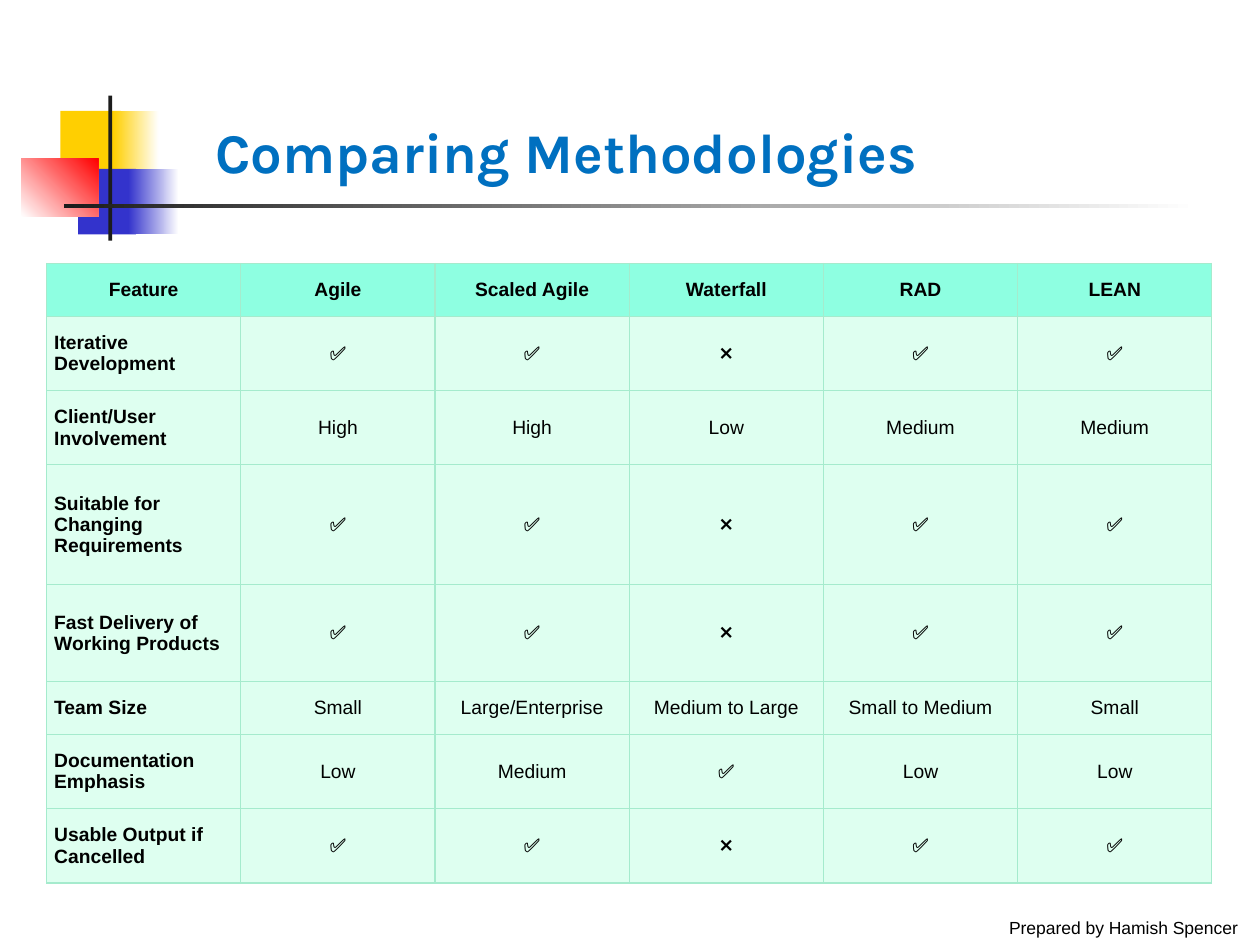
from lxml import etree
from pptx import Presentation
from pptx import util as u
from pptx.dml.color import RGBColor
from pptx.enum import shapes, text
from pptx.oxml import ns

BLACK, WHITE = "000000", "FFFFFF"
YELLOW, BLUE, RED, DARK = "FFCF01", "3333CC", "FF0000", "1C1C1C"

BLOCKS = [
    (0.48, 0.88, 0.48, 0.52, [YELLOW], 0),
    (0.9, 0.88, 0.36, 0.52, [YELLOW, WHITE], 0),
    (0.62, 1.34, 0.46, 0.52, [BLUE], 0),
    (1.02, 1.34, 0.4, 0.52, [BLUE, WHITE], 0),
    (0.17, 1.26, 0.61, 0.46, [WHITE, RED], 45),
    (0.86, 0.76, 0.03, 1.15, [DARK], 0),
    (0.51, 1.62, 9, 0.03, [DARK, WHITE], 0),
]

ROWS = [
    (0.42, "Feature", "Agile", "Scaled Agile", "Waterfall", "RAD", "LEAN"),
    (0.59, "Iterative Development", "✅", "✅", "❌", "✅", "✅"),
    (0.59, "Client/User Involvement", "High", "High", "Low", "Medium", "Medium"),
    (0.95, "Suitable for Changing Requirements", "✅", "✅", "❌", "✅", "✅"),
    (0.77, "Fast Delivery of Working Products", "✅", "✅", "❌", "✅", "✅"),
    (0.42, "Team Size", "Small", "Large/Enterprise", "Medium to Large",
     "Small to Medium", "Small"),
    (0.59, "Documentation Emphasis", "Low", "Medium", "✅", "Low", "Low"),
    (0.59, "Usable Output if Cancelled", "✅", "✅", "❌", "✅", "✅"),
]


def rgb(value):
    return RGBColor.from_string(value)


def write(tf, content, size=11, font="Arial", color=BLACK, bold=False,
          align=text.PP_ALIGN.LEFT):
    p = tf.paragraphs[0]
    p.alignment = align
    r = p.add_run()
    r.text = content
    r.font.size = u.Pt(size)
    r.font.name = font
    r.font.bold = bold
    r.font.color.rgb = rgb(color)


class Deck:
    heading_font, heading_color = "Karla", "0070C0"
    header_fill, body_fill, border = "8EFFE1", "DEFFF0", "A5EBCD"

    def __init__(self, prs):
        self.s = prs.slides.add_slide(prs.slide_layouts[5])

    def block(self, x, y, w, h, colors, angle):
        sp = self.s.shapes.add_shape(
            shapes.MSO_SHAPE.RECTANGLE, *map(u.Inches, (x, y, w, h)))
        sp.shadow.inherit = False
        sp.line.fill.background()
        if len(colors) == 1:
            sp.fill.solid()
            sp.fill.fore_color.rgb = rgb(colors[0])
        else:
            sp.fill.gradient()
            sp.fill.gradient_angle = angle
            for stop, color in zip(sp.fill.gradient_stops, colors):
                stop.color.rgb = rgb(color)

    def title(self, content, x, y, w, h):
        sp = self.s.shapes.title
        sp.left, sp.top, sp.width, sp.height = map(u.Inches, (x, y, w, h))
        tf = sp.text_frame
        tf.auto_size = text.MSO_AUTO_SIZE.NONE
        tf.vertical_anchor = text.MSO_ANCHOR.BOTTOM
        write(tf, content, size=32, font=self.heading_font,
              color=self.heading_color, bold=True)

    def label(self, content, x, y, w, h):
        tf = self.s.shapes.add_textbox(*map(u.Inches, (x, y, w, h))).text_frame
        tf.word_wrap = True
        tf.auto_size = text.MSO_AUTO_SIZE.SHAPE_TO_FIT_TEXT
        write(tf, content, size=10)

    def outline(self, cell):
        tcPr = cell._tc.get_or_add_tcPr()
        for side in "LRTB":
            ln = etree.SubElement(tcPr, ns.qn(f"a:ln{side}"), w=str(u.Pt(0.75)))
            fill = etree.SubElement(ln, ns.qn("a:solidFill"))
            etree.SubElement(fill, ns.qn("a:srgbClr"), val=self.border)

    def table(self, rows, x, y, w):
        height = sum(row[0] for row in rows)
        table = self.s.shapes.add_table(
            len(rows), len(rows[0]) - 1,
            *map(u.Inches, (x, y, w, height))).table
        for i, (row_height, *values) in enumerate(rows):
            table.rows[i].height = u.Inches(row_height)
            for j, value in enumerate(values):
                cell = table.cell(i, j)
                self.outline(cell)
                cell.fill.solid()
                cell.fill.fore_color.rgb = rgb(
                    self.body_fill if i else self.header_fill)
                cell.margin_left = cell.margin_right = u.Inches(0.06)
                cell.margin_top = cell.margin_bottom = u.Inches(0.03)
                cell.vertical_anchor = text.MSO_ANCHOR.MIDDLE
                left = i > 0 and j == 0
                write(cell.text_frame, value, bold=i == 0 or j == 0,
                      align=text.PP_ALIGN.LEFT if left else text.PP_ALIGN.CENTER)


def main():
    prs = Presentation()
    prs.slide_width, prs.slide_height = u.Inches(10), u.Inches(7.5)
    deck = Deck(prs)
    for block in BLOCKS:
        deck.block(*block)
    deck.label("Prepared by Hamish Spencer", 7.91, 7.23, 2.09, 0.27)
    deck.title("Comparing Methodologies", 1.61, 0.49, 7.17, 1.03)
    deck.table(ROWS, 0.37, 2.09, 9.25)
    prs.save("out.pptx")


if __name__ == "__main__":
    main()
